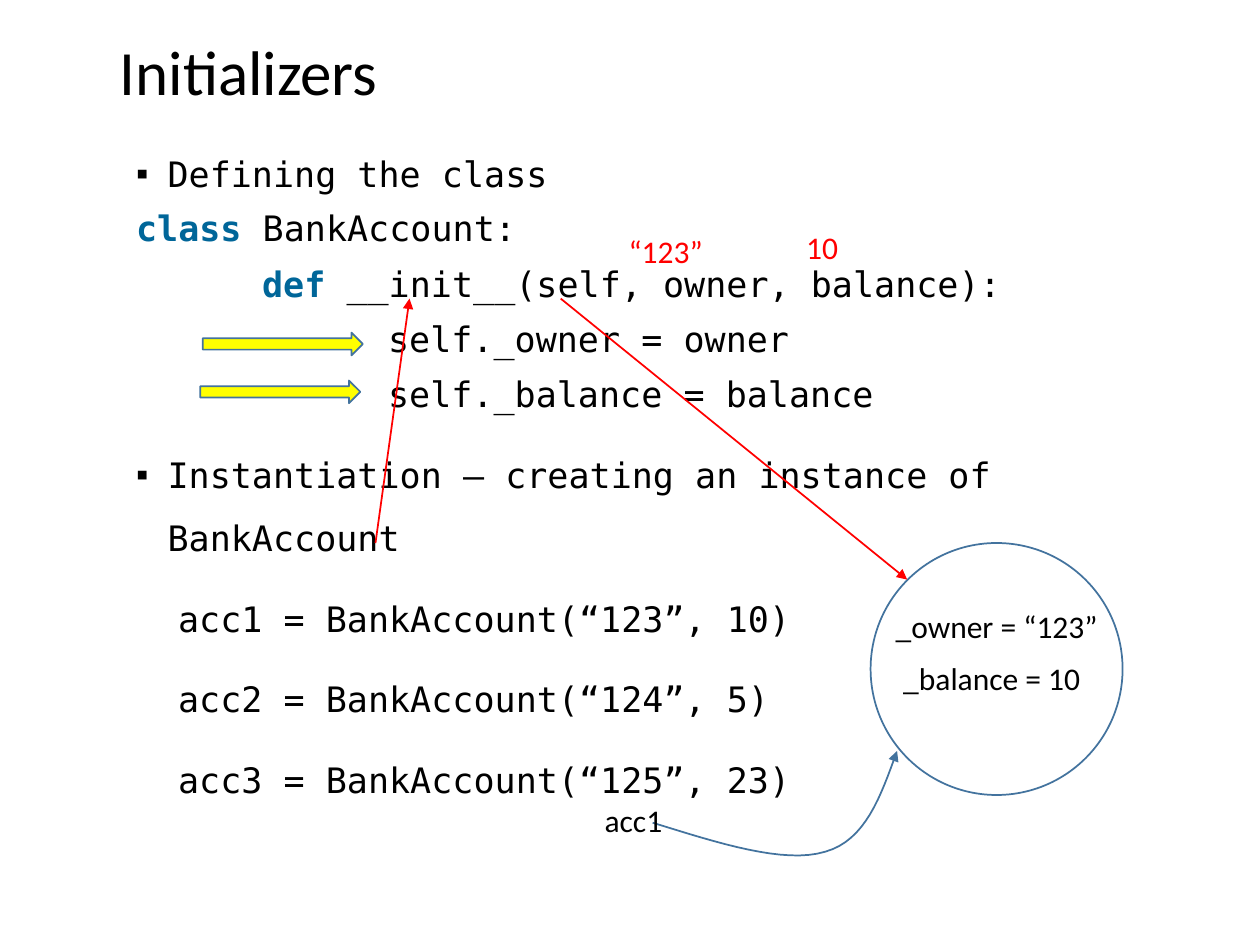
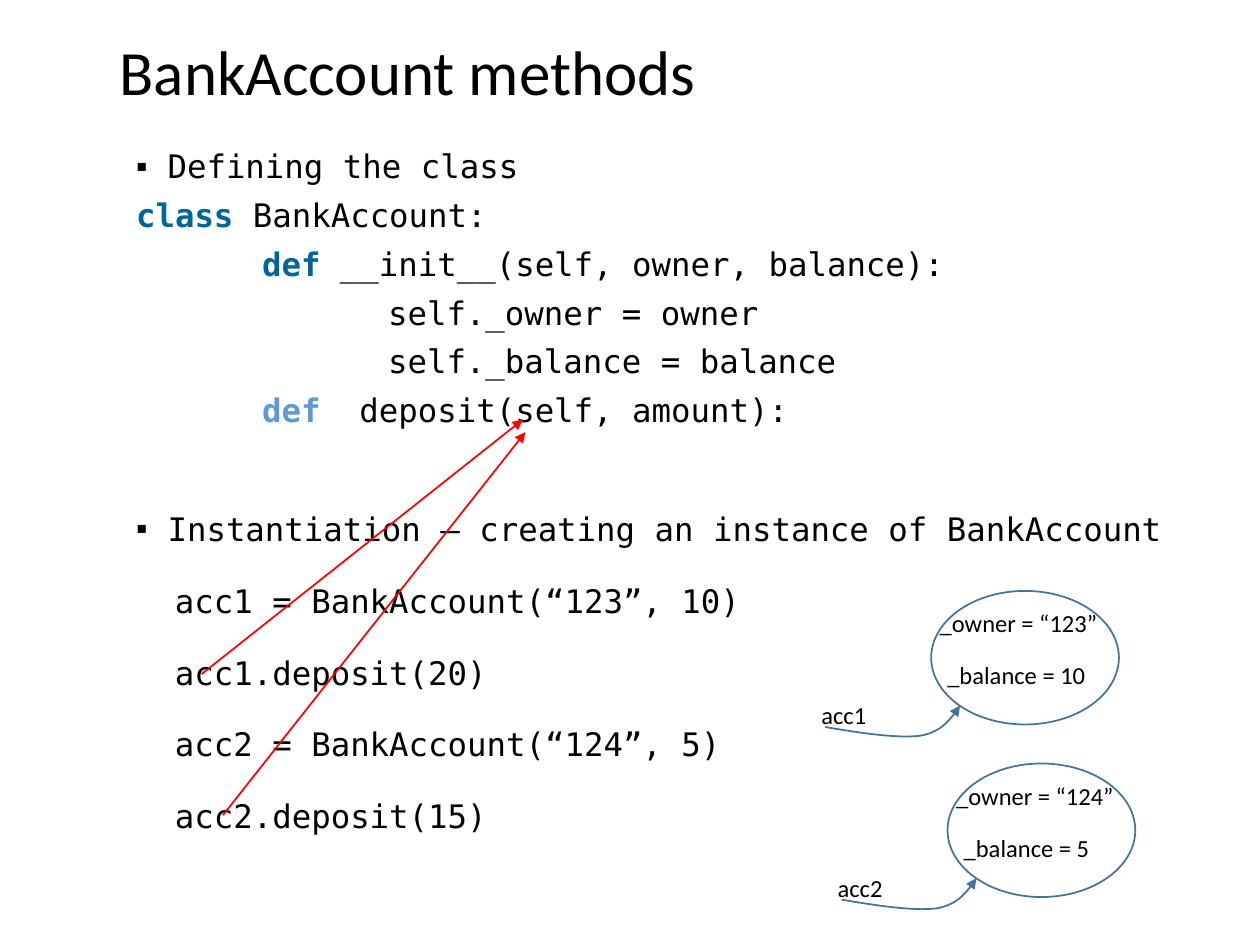
"""Build two slides on Python initializers and methods."""
import dataclasses
import pptx
import pptx.util
import pptx.dml.color
import pptx.enum.shapes
import pptx.enum.text
import pptx.oxml.ns
import pptx.oxml.xmlchemy

Inches = pptx.util.Inches
Pt = pptx.util.Pt
Kind = pptx.enum.shapes.MSO_SHAPE
Rgb = pptx.dml.color.RGBColor.from_string
Node = pptx.oxml.xmlchemy.OxmlElement
qn = pptx.oxml.ns.qn


@dataclasses.dataclass(frozen=True)
class Theme:
    font: str = "Calibri"
    mono: str = "DejaVu Sans Mono"
    ink: str = "000000"
    word: str = "006699"
    pale: str = "5B9BD5"
    edge: str = "43739E"
    red: str = "FF0000"
    gold: str = "FFFF00"
    title: float = 36
    code: float = 20
    dense: float = 18.5
    large: float = 18
    small: float = 14
    gap: float = 10


theme = Theme()


def stroke(shape, color, arrow=False):
    shape.line.color.rgb = Rgb(color)
    shape.line.width = Pt(1)
    props = shape.element.spPr
    if arrow:
        tail = Node("a:tailEnd")
        tail.set("type", "triangle")
        props.find(qn("a:ln")).append(tail)
    props.append(Node("a:effectLst"))


def style(run, font, size, color, bold=False):
    run.font.name = font
    run.font.size = Pt(size)
    run.font.color.rgb = Rgb(color)
    run.font.bold = bold


start = [
    ("item", "", "Defining the class"),
    ("class", "class", " BankAccount:"),
    ("def", "def", " __init__(self, owner, balance):"),
    ("block", "", "self._owner = owner"),
    ("block", "", "self._balance = balance"),
]
make = ("item", "", "Instantiation – creating an instance of BankAccount")

pages = [
    dict(
        title="Initializers", size=theme.code, wide=1.5, tight=0.9, extra=0,
        rows=start + [make] + [
            ("call", "", f"acc{n} = BankAccount(“{n + 122}”, {cash})")
            for n, cash in ((1, 10), (2, 5), (3, 23))],
        rings=[(6.91, 4.31, 2, 2)],
        bars=[(1.61, 2.64), (1.59, 3.02)],
        lines=[(2.98, 4.31, 3.25, 2.37), (4.45, 2.37, 7.2, 4.6)],
        curves=[[(5.18, 6.53), (5.7, 6.69), (6.22, 6.86), (6.55, 6.76),
                 (6.87, 6.67), (6.99, 6.32), (7.12, 5.96)]],
        notes=[("“123”", 4.89, 1.79, 0.79, theme.red),
               ("10", 6.3, 1.76, 0.46, theme.red),
               ("_owner = “123”", 7.01, 4.77, 2.09, theme.ink),
               ("_balance = 10", 7.07, 5.18, 2.09, theme.ink),
               ("acc1", 4.7, 6.31, 0.7, theme.ink)],
        note=theme.large, high=0.4,
    ),
    dict(
        title="BankAccount methods", size=theme.dense, wide=1.4, tight=0.8, extra=27,
        rows=start + [("def", "def", "  deposit(self, amount):"), make] + [
            ("call", "", text) for text in (
                "acc1 = BankAccount(“123”, 10)", "acc1.deposit(20)",
                "acc2 = BankAccount(“124”, 5)", "acc2.deposit(15)")],
        rings=[], bars=[], curves=[], notes=[],
        lines=[(1.6, 5.35, 4.15, 3.33), (1.77, 6.47, 4.17, 3.43)],
        note=theme.small, high=0.34,
    ),
]

bend = [(6.55, 5.77), (6.84, 5.82), (7.12, 5.86), (7.3, 5.84),
        (7.48, 5.81), (7.55, 5.7), (7.62, 5.6)]
for n, cash in enumerate((10, 5)):
    dx, dy = 0.13 * n, 1.37 * n
    pages[1]["rings"].append((7.39 + dx, 4.69 + dy, 1.49, 1.06))
    pages[1]["curves"].append([(x + dx, y + dy) for x, y in bend])
    pages[1]["notes"] += [
        (f"_owner = “{123 + n}”", 7.36 + dx, 4.78 + dy, 1.47, theme.ink),
        (f"_balance = {cash}", 7.42 + dx, 5.19 + dy, 1.47, theme.ink),
        (f"acc{n + 1}", 6.42 + dx, 5.51 + dy, 0.66, theme.ink)]

deck = pptx.Presentation()
deck.slide_width = Inches(10)
deck.slide_height = Inches(7.5)

for page in pages:
    slide = deck.slides.add_slide(deck.slide_layouts[1])
    shapes = slide.shapes
    title, body = slide.placeholders
    for box, place in ((title, (0.85, 0.01, 8.62, 1.17)),
                       (body, (0.98, 0.99, 8.62, 5.97))):
        box.left, box.top, box.width, box.height = map(Inches, place)
        box.text_frame.auto_size = pptx.enum.text.MSO_AUTO_SIZE.NONE
    title.text_frame.text = page["title"]
    title.text_frame.vertical_anchor = pptx.enum.text.MSO_ANCHOR.MIDDLE
    para = title.text_frame.paragraphs[0]
    para.alignment = pptx.enum.text.PP_ALIGN.LEFT
    para.line_spacing = 0.9
    style(para.runs[0], theme.font, theme.title, theme.ink)

    size = page["size"]
    inset = {"item": 0.25, "class": 0, "def": 1, "block": 2, "call": size / 60}
    frame = body.text_frame
    for n, (kind, word, text) in enumerate(page["rows"]):
        para = frame.add_paragraph() if n else frame.paragraphs[0]
        item = kind == "item"
        para.line_spacing = page["wide"] if kind in ("item", "call") else page["tight"]
        para.space_before = Pt(theme.gap + (page["extra"] if n and item else 0))
        props = para._p.get_or_add_pPr()
        props.set("marL", str(Inches(inset[kind])))
        props.set("indent", str(Inches(-0.25 if item else 0)))
        mark = Node("a:buChar" if item else "a:buNone")
        if item:
            mark.set("char", "▪")
        props.append(mark)
        if word:
            run = para.add_run()
            run.text = word
            tint = theme.pale if "deposit" in text else theme.word
            style(run, theme.mono, size, tint, True)
        run = para.add_run()
        run.text = text
        style(run, theme.mono, size, theme.ink)

    for ring in page["rings"]:
        shape = shapes.add_shape(Kind.OVAL, *map(Inches, ring))
        shape.fill.background()
        stroke(shape, theme.edge)

    for x, y in page["bars"]:
        shape = shapes.add_shape(Kind.RIGHT_ARROW, *map(Inches, (x, y, 1.27, 0.18)))
        shape.fill.solid()
        shape.fill.fore_color.rgb = Rgb(theme.gold)
        stroke(shape, theme.edge)

    for ends in page["lines"]:
        line = shapes.add_connector(
            pptx.enum.shapes.MSO_CONNECTOR.STRAIGHT, *map(Inches, ends))
        stroke(line, theme.red, True)

    for curve in page["curves"]:
        dots = []
        for part in (curve[:4], curve[3:]):
            for step in range(1, 17):
                t = step / 16
                rate = ((1 - t) ** 3, 3 * t * (1 - t) ** 2, 3 * t * t * (1 - t), t ** 3)
                dots.append([Inches(sum(r * v for r, v in zip(rate, axis)))
                             for axis in zip(*part)])
        trace = shapes.build_freeform(*map(Inches, curve[0]))
        trace.add_line_segments(dots, close=False)
        shape = trace.convert_to_shape()
        shape.fill.background()
        stroke(shape, theme.edge, True)

    for text, x, y, width, color in page["notes"]:
        box = shapes.add_textbox(*map(Inches, (x, y, width, page["high"])))
        box.text_frame.word_wrap = color == theme.ink
        box.text_frame.text = text
        style(box.text_frame.paragraphs[0].runs[0], theme.font, page["note"], color)

deck.save("out.pptx")
